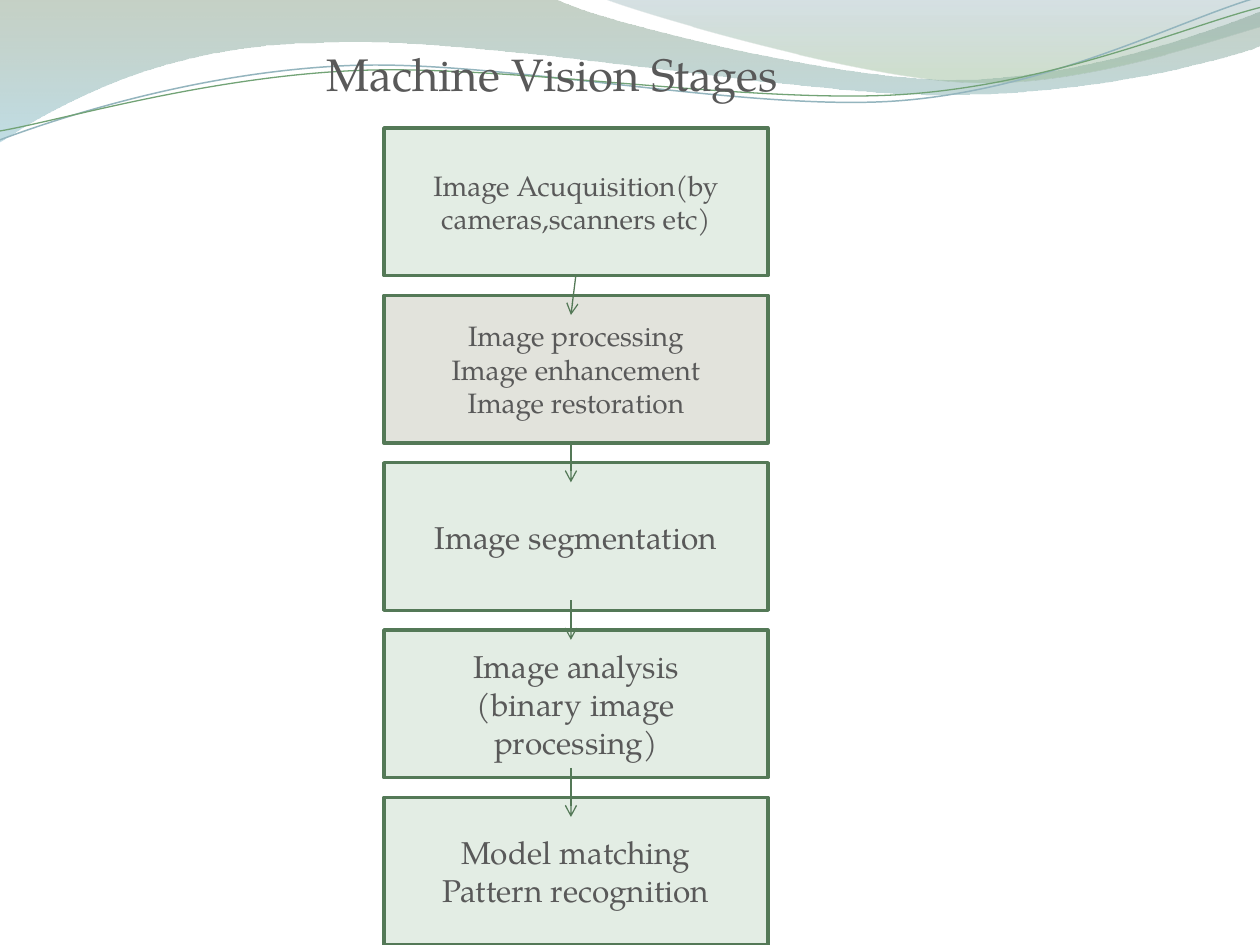
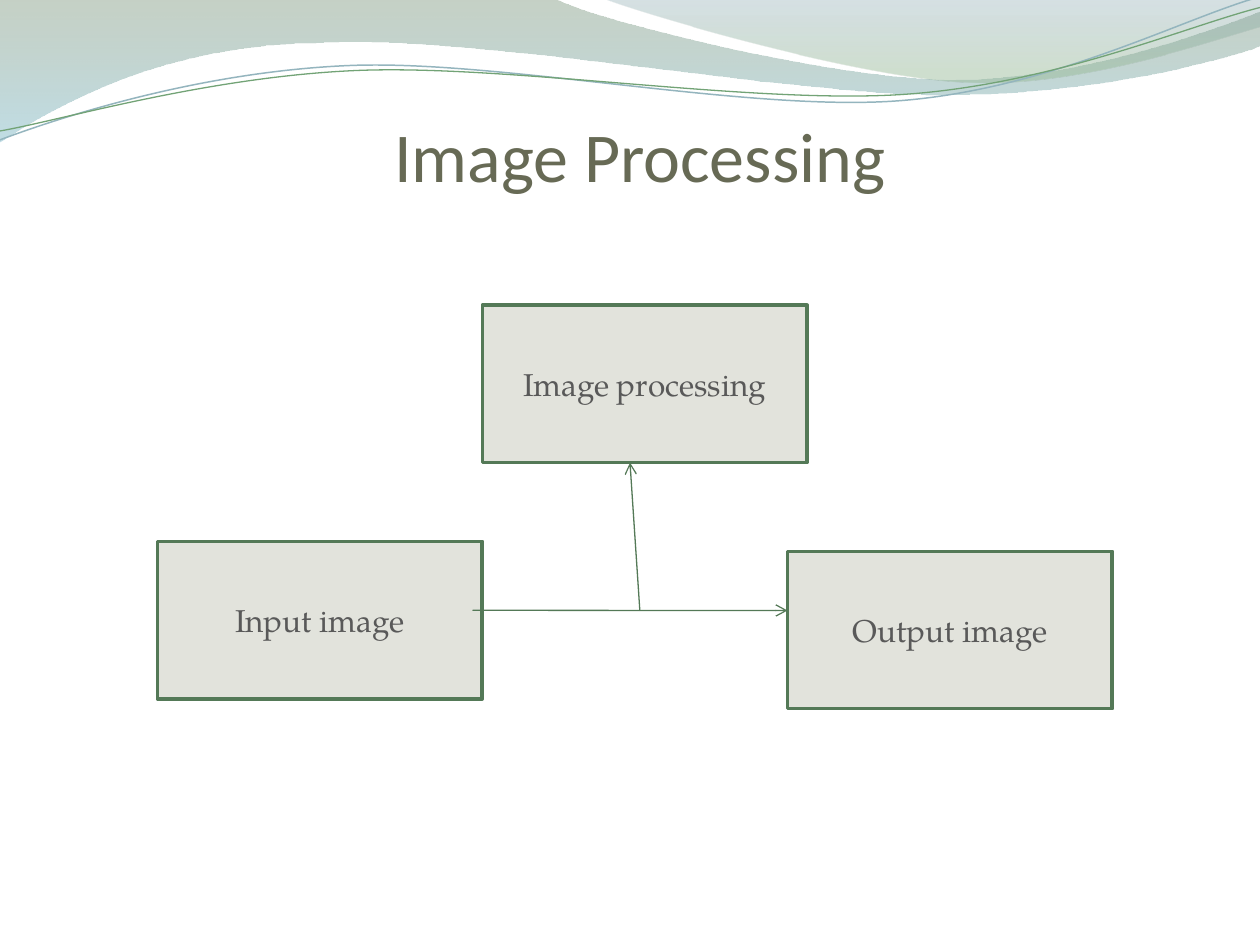
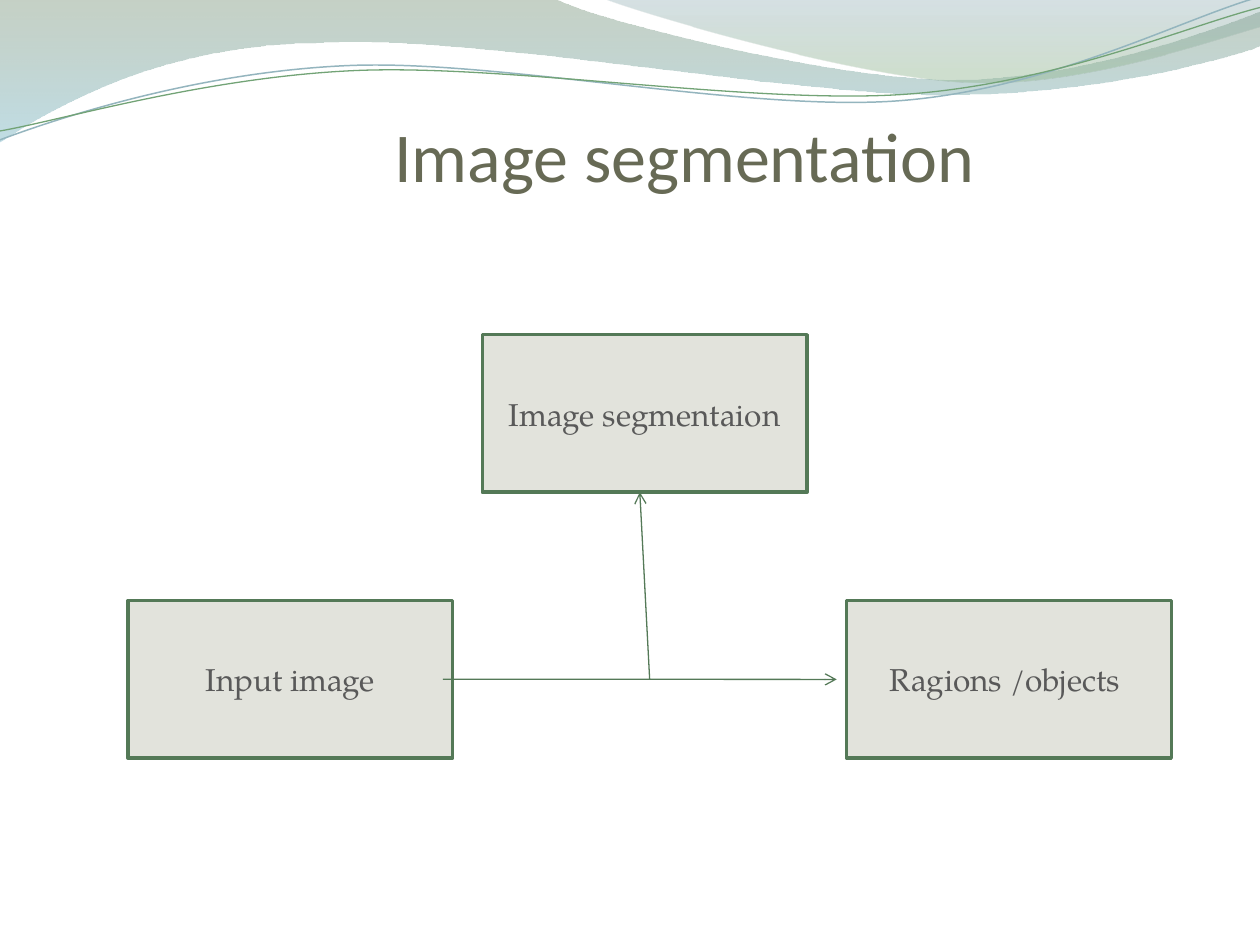
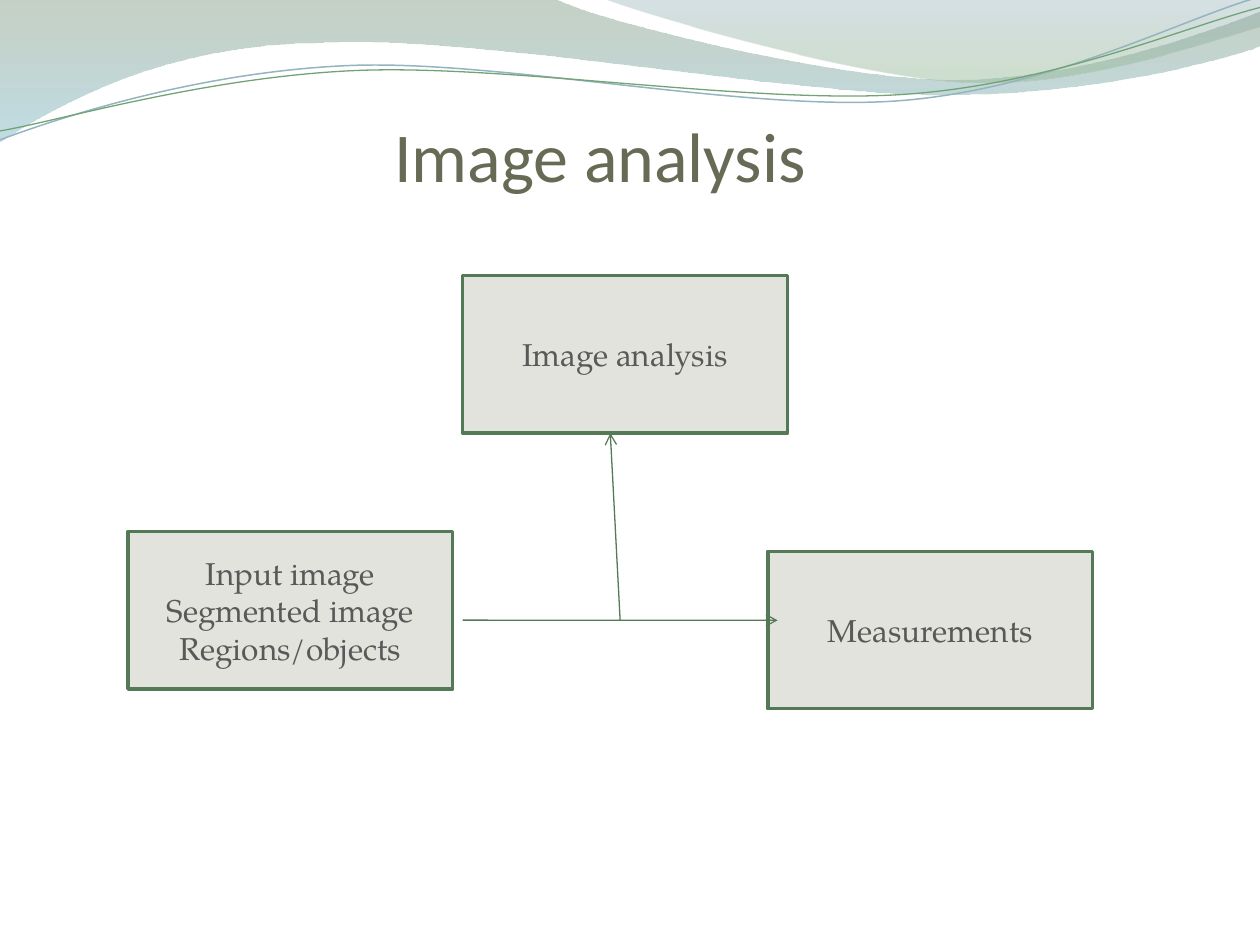
import math

from lxml import etree
from pptx import Presentation
from pptx.dml.color import RGBColor
from pptx.enum import shapes, text
from pptx.oxml.ns import qn
from pptx.util import Inches, Pt

SERIF = "TeX Gyre Pagella"
SANS = "Calibri"
GREY = "595959"
OLIVE = "676A55"
GREEN = "547957"
PALE_GREEN = "E3EDE4"
PALE_GREY = "E2E3DC"

GRID = 5 / 64
STACK_LEFT, STACK_TOP, STACK_STEP = 39, 13, 17
STACK_SIZE = (39, 15)
BLOCK_SIZE = (33, 16)

BANDS = [
    dict(start=(0, -0.01),
         parts=[(4.4, -0.01),
                (4.76, 0.17, 6.64, 0.63, 7.58, 0.63),
                (8.53, 0.63, 9.58, 0.26, 10, 0.09),
                (10.01, 0.36),
                (9.83, 0.44, 8.7, 0.76, 7.46, 0.75),
                (6.22, 0.75, 3.82, 0.28, 2.57, 0.34),
                (1.29, 0.35, 0.46, 0.83, -0.01, 1.13),
                (0, -0.01)],
         stops=[(0, "809980", 45), (1, "8DC1CF", 55)]),
    dict(start=(4.79, -0.01),
         parts=[(5.09, 0.11, 6.82, 0.62, 7.69, 0.65),
                (8.56, 0.69, 9.61, 0.32, 10, 0.21),
                (10, 0),
                (4.79, -0.01)],
         stops=[(0, "779BA4", 30), (0.8, "96B996", 45)]),
    dict(start=(0, 1.11),
         parts=[(0.48, 0.93, 1.58, 0.57, 2.77, 0.52),
                (3.95, 0.47, 5.93, 0.89, 7.13, 0.8),
                (8.33, 0.71, 9.38, 0.15, 9.98, -0.02)],
         line=("94B5BE", 0.85), center=(4.99, 0.58), tilt=-2.7),
    dict(start=(0, 1.04),
         parts=[(0.47, 0.96, 1.64, 0.61, 2.83, 0.56),
                (4.03, 0.51, 5.97, 0.83, 7.17, 0.75),
                (8.36, 0.67, 9.41, 0.21, 10, 0.06)],
         line=("72A376", 0.75), center=(5, 0.59), tilt=-2.7),
]

STAGES = [
    ("Image Acuquisition(by cameras,scanners etc)", 16, PALE_GREEN),
    ("Image processing\nImage enhancement\nImage restoration", 16, PALE_GREY),
    ("Image segmentation", 18, PALE_GREEN),
    ("Image analysis\n(binary image processing)", 18, PALE_GREEN),
    ("Model matching\nPattern recognition", 18, PALE_GREEN),
]
STAGE_ARROWS = [
    ((58.5, 28), (58, 32)),
    ((58, 45), (58, 49)),
    ((58, 61), (58, 65)),
    ((58, 78), (58, 83)),
]

DIAGRAMS = [
    dict(title="Image Processing",
         blocks=[("Image processing", 49, 31),
                 ("Output image", 80, 56),
                 ("Input image", 16, 55)],
         arrows=[((65, 62), (64, 47)), ((48, 62), (80, 62.02))]),
    dict(title="Image segmentation",
         blocks=[("Image segmentaion", 49, 34),
                 ("Ragions /objects ", 86, 61),
                 ("Input image", 13, 61)],
         arrows=[((66, 69), (65, 50)), ((45, 69), (85, 69.02))]),
    dict(title="Image analysis",
         blocks=[("Image analysis", 47, 28),
                 ("Measurements", 78, 56),
                 ("Input image\nSegmented image\nRegions/objects", 13, 54)],
         arrows=[((63, 63), (62, 44)), ((47, 63), (79, 63.02))]),
]


def color(value):
    return RGBColor.from_string(value)


def cells(*counts):
    return [Inches(count * GRID) for count in counts]


def place(shape, left, top, width, height):
    shape.left, shape.top, shape.width, shape.height = left, top, width, height


def write(frame, content, size=18, font=SERIF, ink=GREY,
          align=text.PP_ALIGN.CENTER, anchor=text.MSO_ANCHOR.MIDDLE, indent=None):
    frame.word_wrap = True
    frame.auto_size = text.MSO_AUTO_SIZE.NONE
    frame.vertical_anchor = anchor
    for number, words in enumerate(content.split("\n")):
        para = frame.add_paragraph() if number else frame.paragraphs[0]
        para.alignment = align
        if indent is not None:
            props = para._p.get_or_add_pPr()
            props.set("marL", str(Inches(indent)))
            props.set("indent", "0")
            etree.SubElement(props, qn("a:buNone"))
        span = para.add_run()
        span.text = words
        span.font.size = Pt(size)
        span.font.name = font
        span.font.color.rgb = color(ink)


def turn(point, center, degrees):
    angle = math.radians(degrees)
    x, y = point[0] - center[0], point[1] - center[1]
    return (center[0] + x * math.cos(angle) - y * math.sin(angle),
            center[1] + x * math.sin(angle) + y * math.cos(angle))


def bend(shape, parts):
    segments = iter(list(shape.element.iter(qn("a:lnTo"))))
    for part in parts:
        first = next(segments)
        if len(part) == 6:
            first.tag = qn("a:cubicBezTo")
            for _ in range(2):
                extra = next(segments)
                first.append(extra[0])
                extra.getparent().remove(extra)


def fill_gradient(shape, stops):
    shape.fill.gradient()
    shape.fill.gradient_angle = 270
    for stop, (position, shade, _) in zip(shape.fill.gradient_stops, stops):
        stop.position = position
        stop.color.rgb = color(shade)
    for node, (_, _, opacity) in zip(shape.element.iter(qn("a:srgbClr")), stops):
        etree.SubElement(node, qn("a:alpha"), val=str(opacity * 1000))


def add_band(page, start, parts, stops=None, line=None, center=(0, 0), tilt=0):
    points = [start] + [part[i:i + 2] for part in parts for i in range(0, len(part), 2)]
    level = [turn(point, center, -tilt) for point in points]
    corners = [(Inches(x), Inches(y)) for x, y in level]
    builder = page.shapes.build_freeform(*corners[0], scale=1.0)
    builder.add_line_segments(corners[1:], close=stops is not None)
    band = builder.convert_to_shape()
    bend(band, parts)
    band.rotation = tilt
    band.shadow.inherit = False
    if stops:
        fill_gradient(band, stops)
        band.line.fill.background()
    else:
        band.fill.background()
        band.line.color.rgb = color(line[0])
        band.line.width = Pt(line[1])
    return band


def decorate_master(deck, page):
    tree = deck.slide_master.element.cSld.spTree
    for number, settings in enumerate(BANDS):
        band = add_band(page, **settings)
        band.element.nvSpPr.cNvPr.set("id", str(100 + number))
        tree.insert(2 + number, band.element)


def add_block(page, content, left, top, size=BLOCK_SIZE, fill=PALE_GREY, font_size=18):
    box = page.shapes.add_shape(shapes.MSO_SHAPE.RECTANGLE, *cells(left, top, *size))
    box.shadow.inherit = False
    box.fill.solid()
    box.fill.fore_color.rgb = color(fill)
    box.line.color.rgb = color(GREEN)
    box.line.width = Pt(2)
    write(box.text_frame, content, size=font_size)


def add_arrow(page, start, end):
    arrow = page.shapes.add_connector(shapes.MSO_CONNECTOR.STRAIGHT, *cells(*start, *end))
    arrow.line.color.rgb = color(GREEN)
    arrow.line.width = Pt(0.75)
    etree.SubElement(arrow.line._get_or_add_ln(), qn("a:tailEnd"), type="arrow")
    etree.SubElement(arrow.element.spPr, qn("a:effectLst"))


def add_stages(page):
    title = page.shapes.title.element
    title.getparent().remove(title)
    body = page.placeholders[1]
    place(body, Inches(0.5), *cells(4), Inches(9), *cells(92))
    write(body.text_frame, "Machine Vision Stages", size=26, indent=1.99,
          align=text.PP_ALIGN.LEFT, anchor=text.MSO_ANCHOR.TOP)
    for row, (content, font_size, fill) in enumerate(STAGES):
        add_block(page, content, STACK_LEFT, STACK_TOP + row * STACK_STEP,
                  size=STACK_SIZE, fill=fill, font_size=font_size)
    for start, end in STAGE_ARROWS:
        add_arrow(page, start, end)


def add_diagram(page, title, blocks, arrows):
    heading = page.shapes.title
    place(heading, Inches(0.5), Inches(0.77), Inches(9), Inches(0.79))
    frame = heading.text_frame
    frame.margin_left = frame.margin_right = frame.margin_bottom = 0
    frame.margin_top = Inches(0.05)
    write(frame, title, size=40, font=SANS, ink=OLIVE, indent=2.63,
          align=text.PP_ALIGN.LEFT, anchor=text.MSO_ANCHOR.BOTTOM)
    for content, left, top in blocks:
        add_block(page, content, left, top)
    for start, end in arrows:
        add_arrow(page, start, end)


def main():
    deck = Presentation()
    deck.slide_width, deck.slide_height = Inches(10), Inches(7.5)
    stages = deck.slides.add_slide(deck.slide_layouts[1])
    decorate_master(deck, stages)
    add_stages(stages)
    for diagram in DIAGRAMS:
        add_diagram(deck.slides.add_slide(deck.slide_layouts[5]), **diagram)
    deck.save("out.pptx")


if __name__ == "__main__":
    main()
